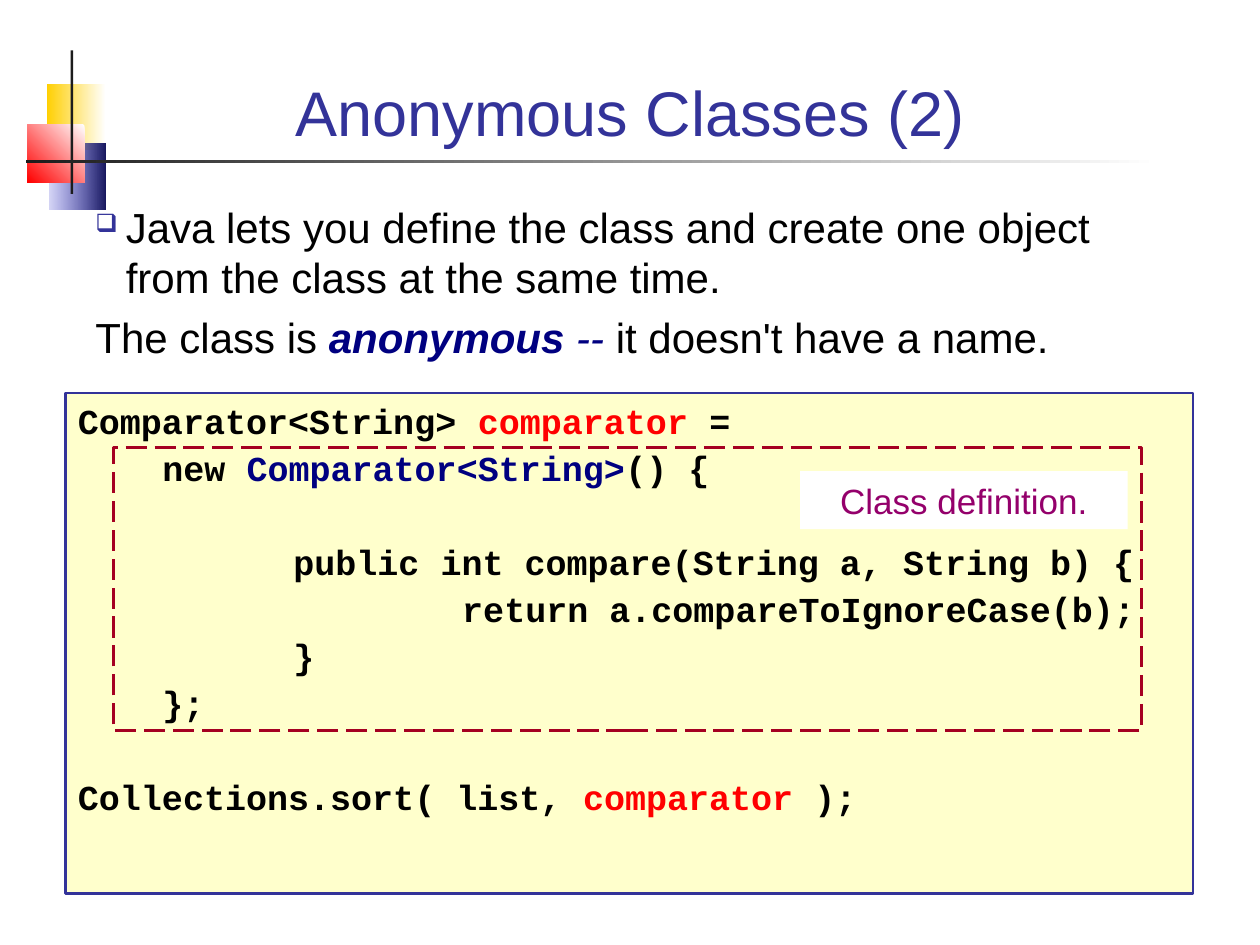
from lxml import etree
from pptx import Presentation
from pptx.dml.color import RGBColor
from pptx.enum.dml import MSO_LINE
from pptx.enum.shapes import MSO_SHAPE
from pptx.enum.text import MSO_ANCHOR, PP_ALIGN
from pptx.oxml.ns import qn
from pptx.util import Inches, Pt

RECTANGLE = MSO_SHAPE.RECTANGLE
LONG_DASH = MSO_LINE.LONG_DASH
TOP, MIDDLE, BOTTOM = MSO_ANCHOR.TOP, MSO_ANCHOR.MIDDLE, MSO_ANCHOR.BOTTOM
LEFT, CENTER = PP_ALIGN.LEFT, PP_ALIGN.CENTER
WIDTH, HEIGHT = 10, 7.5
SANS, MONO = "Arial", "Courier New"
COLORS = {
    "white": "FFFFFF", "black": "000000", "ink": "1C1C1C",
    "indigo": "333399", "navy": "000080", "red": "FF0000",
    "yellow": "FFCF01", "midnight": "17175E", "blue": "3333CC",
    "cream": "FFFFCC", "crimson": "A50021", "plum": "94006B",
}
CODE = [
    (0, 0, [("Comparator<String> ", "black"), ("comparator", "red"), (" =", "black")]),
    (0.67, 0, [("new ", "black"), ("Comparator<String>", "navy"), ("() {", "black")]),
    (1.71, 1, [("public int compare(String a, String b) {", "black")]),
    (3.05, 0, [("return a.compareToIgnoreCase(b);", "black")]),
    (1.71, 0, [("}", "black")]),
    (0.67, 0, [("};", "black")]),
    (0, 1, [("Collections.sort( list, ", "black"), ("comparator", "red"), (" );", "black")]),
]
CODE_LINE, CODE_GAP = 24, 2.9
BODY_LINE, BODY_GAP = 28.6, 6


def color(name):
    return RGBColor.from_string(COLORS[name])


def add_box(page, area, fill=None, line=None, dash=None):
    box = page.shapes.add_shape(RECTANGLE, *map(Inches, area))
    box.shadow.inherit = False
    if fill:
        box.fill.solid()
        box.fill.fore_color.rgb = color(fill)
    else:
        box.fill.background()
    if line:
        box.line.color.rgb = color(line)
        box.line.width = Pt(1.5)
        box.line.dash_style = dash
    else:
        box.line.fill.background()
    return box


def add_gradient_box(page, area, start, end, angle=180, opacity=None):
    box = add_box(page, area)
    box.fill.gradient()
    box.fill.gradient_angle = angle
    for stop, name, position in zip(box.fill.gradient_stops, (start, end), (0, 1)):
        stop.color.rgb = color(name)
        stop.position = position
    if opacity:
        end_color = list(box.element.spPr.iter(qn("a:srgbClr")))[-1]
        etree.SubElement(end_color, qn("a:alpha"), val=str(opacity * 1000))


def add_text_box(page, area):
    return page.shapes.add_textbox(*map(Inches, area))


def prepare_text(box, anchor=TOP):
    frame = box.text_frame
    frame.word_wrap = True
    frame.vertical_anchor = anchor
    return frame


def format_span(span, font, size, name, bold=False, italic=False):
    span.font.name = font
    span.font.size = Pt(size)
    span.font.color.rgb = color(name)
    span.font.bold = bold
    span.font.italic = italic


def write_line(box, text, size, name, anchor):
    para = prepare_text(box, anchor).paragraphs[0]
    para.text = text
    para.alignment = CENTER
    format_span(para.runs[0], SANS, size, name)


def add_spans(para, spans, font, size):
    para.alignment = LEFT
    for text, *style in spans:
        span = para.add_run()
        span.text = text
        format_span(span, font, size, *style)


def set_bullet(para, character, name, percent, indent):
    properties = para._p.get_or_add_pPr()
    properties.set("marL", str(Inches(indent)))
    properties.set("indent", str(-Inches(indent)))
    bullet_color = etree.SubElement(properties, qn("a:buClr"))
    etree.SubElement(bullet_color, qn("a:srgbClr"), val=COLORS[name])
    etree.SubElement(properties, qn("a:buSzPct"), val=str(percent * 1000))
    etree.SubElement(properties, qn("a:buChar"), char=character)


def add_ornament(page):
    add_gradient_box(page, (0.37, 0.67, 0.47, 0.52), "white", "yellow")
    add_gradient_box(page, (0.39, 1.14, 0.45, 0.52), "midnight", "blue", opacity=20)
    add_gradient_box(page, (0.22, 0.99, 0.45, 0.46), "white", "red", angle=225)
    add_box(page, (0.56, 0.4, 0.02, 1.14), "ink")
    add_gradient_box(page, (0.21, 1.27, 8.99, 0.02), "white", "ink")


def add_body(page):
    frame = prepare_text(add_text_box(page, (0.66, 1.55, 8.66, 1.45)))
    first, second = frame.paragraphs[0], frame.add_paragraph()
    for para, gap in ((first, 2), (second, BODY_GAP)):
        para.line_spacing = Pt(BODY_LINE)
        para.space_before = Pt(gap)
    add_spans(first, [("Java lets you define the class and create one object "
                       "from the class at the same time.", "black")], SANS, 24)
    set_bullet(first, "❑", "indigo", 60, 0.24)
    add_spans(second, [
        ("The class is ", "black"),
        ("anonymous", "navy", True, True),
        (" --", "navy", False, True),
        (" it doesn't have a name.", "black"),
    ], SANS, 24)


def add_code(page):
    frame = prepare_text(add_box(page, (0.52, 3.12, 8.95, 3.97), "cream", "indigo"))
    for index, (indent, skipped, spans) in enumerate(CODE):
        para = frame.add_paragraph() if index else frame.paragraphs[0]
        para.line_spacing = Pt(CODE_LINE)
        para.space_before = Pt(CODE_GAP + skipped * (CODE_LINE + CODE_GAP))
        para._p.get_or_add_pPr().set("marL", str(Inches(indent)))
        add_spans(para, [(text, name, True) for text, name in spans], MONO, 20)


def main():
    deck = Presentation()
    deck.slide_width, deck.slide_height = Inches(WIDTH), Inches(HEIGHT)
    page = deck.slides.add_slide(deck.slide_layouts[6])
    add_ornament(page)
    title = add_text_box(page, (0.67, 0.28, 8.66, 0.95))
    write_line(title, "Anonymous Classes (2)", 36, "indigo", BOTTOM)
    add_body(page)
    add_code(page)
    add_box(page, (0.9, 3.55, 8.16, 2.25), line="crimson", dash=LONG_DASH)
    label = add_box(page, (6.35, 3.74, 2.6, 0.46), "white")
    write_line(label, "Class definition.", 20, "plum", MIDDLE)
    deck.save("out.pptx")


if __name__ == "__main__":
    main()
